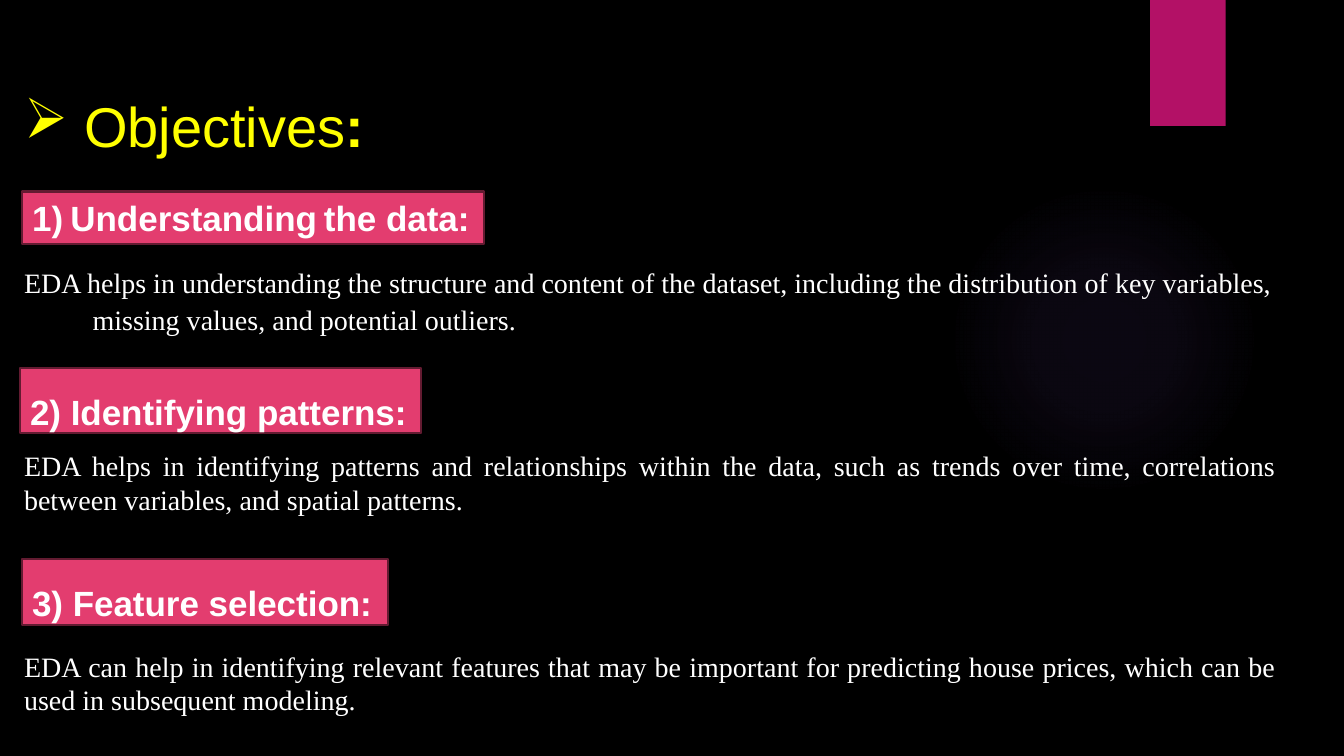
from lxml.etree import SubElement
from pptx import Presentation
from pptx.dml.color import RGBColor
from pptx.enum.shapes import MSO_SHAPE as Shape
from pptx.enum.text import MSO_ANCHOR as Anchor, MSO_AUTO_SIZE as AutoSize, PP_ALIGN as Align
from pptx.oxml import parse_xml
from pptx.oxml.ns import nsdecls, qn
from pptx.util import Emu, Inches, Pt

COLORS = {
    "background": "000000",
    "ribbon": "B31166",
    "glow": "9B6BF2",
    "heading": "E33D6F",
    "heading_edge": "631B31",
    "title": "FFFF00",
    "text": "FFFFFF",
}
COLUMNS, ROWS = 160, 90
BODY_LEFT, BODY_WIDTH = 1.68, 151.44

# heading: left, top, width, height, line spacing, numbered, runs of (text, size)
HEADINGS = [
    (2.64, 22.8, 54.96, 6.24, 1, True, [("Understanding", 25), (" ", 18), ("the data:", 25)]),
    (2.4, 43.8, 47.76, 7.8, 1.5, False, [("2) Identifying patterns:", 25)]),
    (2.64, 66.6, 43.56, 7.8, 1.5, False, [("3) Feature selection:", 25)]),
]
# explanation: left, top, width, height, line spacing, alignment, text
EXPLANATIONS = [
    (BODY_LEFT, 29.04, 153.36, 6.6, 1.5, Align.JUSTIFY,
     "EDA helps in understanding the structure and content of the dataset, "
     "including the distribution of key variables,"),
    (9.84, 35.4, 80.64, 5.28, 1, Align.LEFT, "missing values, and potential outliers."),
    (BODY_LEFT, 52.8, BODY_WIDTH, 9.24, 1, Align.JUSTIFY,
     "EDA helps in identifying patterns and relationships within the data, such as trends "
     "over time, correlations between variables, and spatial patterns."),
    (BODY_LEFT, 76.68, BODY_WIDTH, 9.24, 1, Align.JUSTIFY,
     "EDA can help in identifying relevant features that may be important for predicting "
     "house prices, which can be used in subsequent modeling."),
]


def rgb(name):
    return RGBColor.from_string(COLORS[name])


class ObjectivesDeck:
    def __init__(self):
        self.deck = Presentation()
        self.deck.slide_width, self.deck.slide_height = Inches(13.333), Inches(7.5)
        self.slide = self.deck.slides.add_slide(self.deck.slide_layouts[5])
        backdrop = self.slide.background.fill
        backdrop.solid()
        backdrop.fore_color.rgb = rgb("background")

    def place(self, left, top, width, height):
        """Turn grid columns and rows into slide lengths."""
        column, row = self.deck.slide_width / COLUMNS, self.deck.slide_height / ROWS
        return [Emu(round(n * unit)) for n, unit in
                zip((left, top, width, height), (column, row, column, row))]

    def style(self, paragraph, font, size, color, bold=False):
        paragraph.font.name = font
        paragraph.font.size = Pt(size)
        paragraph.font.bold = bold
        paragraph.font.color.rgb = rgb(color)

    def bullet(self, paragraph, indent, tag, **attributes):
        """Give the paragraph a hanging bullet or number."""
        props = paragraph._p.get_or_add_pPr()
        props.set("marL", str(Inches(indent)))
        props.set("indent", str(-Inches(indent)))
        mark = SubElement(props, qn(tag), attributes)
        props.remove(mark)
        props.insert_element_before(mark, "a:tabLst", "a:defRPr", "a:extLst")

    def block(self, kind, box, fill, edge=None):
        block = self.slide.shapes.add_shape(kind, *self.place(*box))
        block.shadow.inherit = False
        block.fill.solid()
        block.fill.fore_color.rgb = rgb(fill)
        if edge:
            block.line.color.rgb = rgb(edge)
            block.line.width = Pt(1.5)
        else:
            block.line.fill.background()
        return block

    def glow(self, box, stops):
        """Draw a circle fading outwards; stops are (position, opacity) in percent."""
        props = self.block(Shape.OVAL, box, "glow")._element.spPr
        marks = "".join(
            f'<a:gs pos="{position * 1000}"><a:srgbClr val="{COLORS["glow"]}">'
            f'<a:alpha val="{opacity * 1000}"/></a:srgbClr></a:gs>'
            for position, opacity in stops)
        gradient = parse_xml(
            f'<a:gradFill {nsdecls("a")}><a:gsLst>{marks}</a:gsLst><a:path path="circle">'
            '<a:fillToRect l="50000" t="50000" r="50000" b="50000"/></a:path></a:gradFill>')
        props.replace(props.find(qn("a:solidFill")), gradient)

    def title(self, box, runs):
        title = self.slide.shapes.title
        title.left, title.top, title.width, title.height = self.place(*box)
        frame = title.text_frame
        frame.auto_size, frame.vertical_anchor = AutoSize.NONE, Anchor.TOP
        line = frame.paragraphs[0]
        line.alignment = Align.LEFT
        self.style(line, "Arial", 40, "title")
        self.bullet(line, 0.31, "a:buChar", char="➢")
        for text, bold in runs:
            run = line.add_run()
            run.text, run.font.bold = text, bold

    def heading(self, box, spacing, numbered, runs):
        frame = self.block(Shape.RECTANGLE, box, "heading", "heading_edge").text_frame
        frame.vertical_anchor = Anchor.MIDDLE
        frame.word_wrap = False
        line = frame.paragraphs[0]
        line.alignment, line.line_spacing = Align.LEFT, spacing
        self.style(line, "Arial", 25, "text", bold=True)
        if numbered:
            self.bullet(line, 0.38, "a:buAutoNum", type="arabicParenR")
        for text, size in runs:
            run = line.add_run()
            run.text, run.font.size = text, Pt(size)

    def explanation(self, box, spacing, alignment, text):
        frame = self.slide.shapes.add_textbox(*self.place(*box)).text_frame
        frame.word_wrap = True
        line = frame.paragraphs[0]
        line.text = text
        line.alignment, line.line_spacing = alignment, spacing
        self.style(line, "Times New Roman", 20, "text")


def main():
    objectives = ObjectivesDeck()
    objectives.glow((112.92, 21.96, 36.96, 36.96), [(0, 7), (36, 6), (69, 0)])
    objectives.block(Shape.RECTANGLE, (136.92, 0, 9, 15), "ribbon")
    objectives.title((1.68, 10.32, 50.52, 17.4),
                     [(" ", True), ("Objectives", False), (":", True)])
    for *box, spacing, numbered, runs in HEADINGS:
        objectives.heading(box, spacing, numbered, runs)
    for *box, spacing, alignment, text in EXPLANATIONS:
        objectives.explanation(box, spacing, alignment, text)
    objectives.deck.save("out.pptx")


if __name__ == "__main__":
    main()
